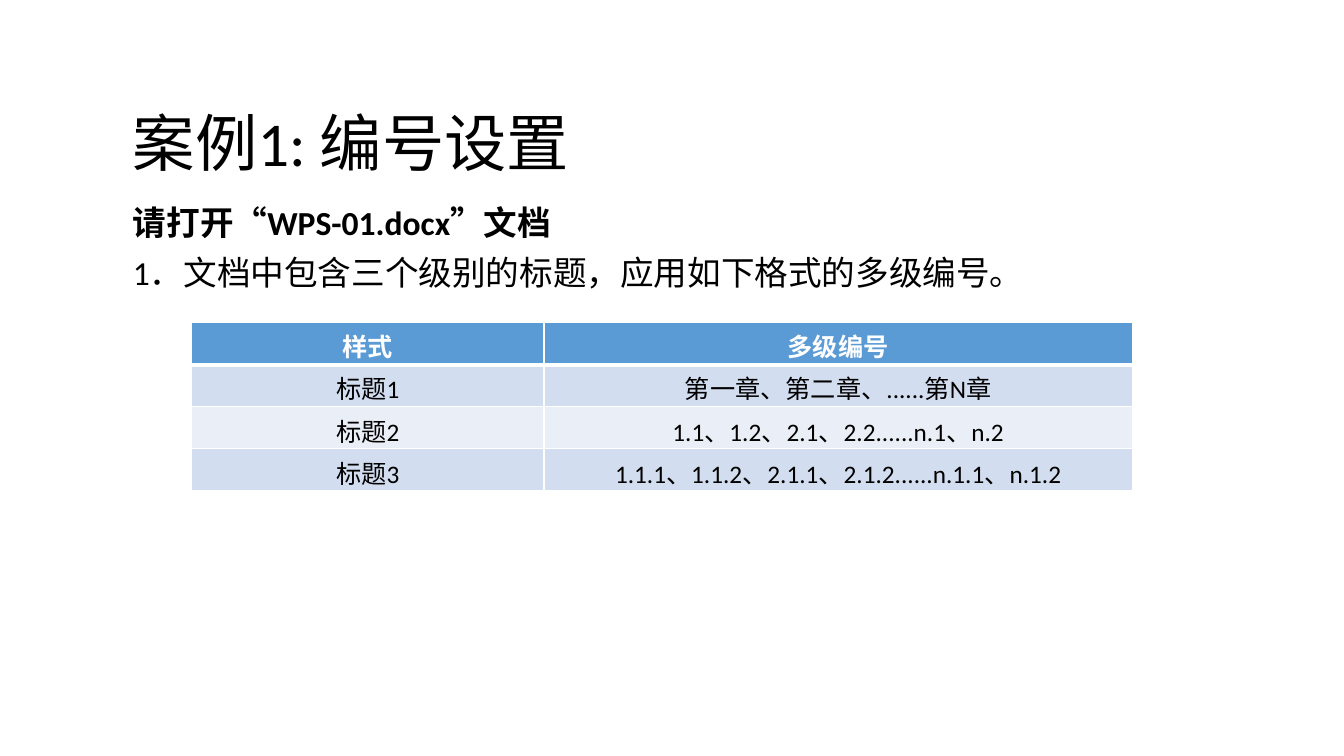
from lxml.etree import SubElement
from pptx import Presentation
from pptx.dml.color import RGBColor
from pptx.enum.text import MSO_ANCHOR, PP_ALIGN
from pptx.oxml.ns import qn
from pptx.util import Cm, Pt


def color(value):
    return RGBColor.from_string(value)


class SlideBuilder:
    font = "Calibri"
    ink = "000000"
    white = "FFFFFF"
    header_fill = "5B9BD5"
    band_fills = ("D2DEEF", "EAEFF7")

    def __init__(self, page):
        self.page = page

    def style(self, para, size, bold=False, ink=ink):
        for span in para.runs:
            span.font.name = self.font
            span.font.size = Pt(size)
            span.font.bold = bold
            span.font.color.rgb = color(ink)

    def text(self, left, top, width, height, lines, anchor=MSO_ANCHOR.TOP):
        """Each line is (wording, size, bold)."""
        box = self.page.shapes.add_textbox(Cm(left), Cm(top), Cm(width), Cm(height))
        frame = box.text_frame
        frame.word_wrap = True
        frame.vertical_anchor = anchor
        frame.text = "\n".join(wording for wording, _, _ in lines)
        for index, (para, (_, size, bold)) in enumerate(zip(frame.paragraphs, lines)):
            para.line_spacing = 0.9
            para.space_before = Pt(10 if index else 0)
            self.style(para, size, bold)

    def border(self, cell, side, width):
        line = SubElement(cell._tc.get_or_add_tcPr(), qn(f"a:{side}"), w=str(Pt(width)))
        fill = SubElement(line, qn("a:solidFill"))
        SubElement(fill, qn("a:srgbClr"), val=self.white)

    def table(self, left, top, widths, row_height, rows):
        table = self.page.shapes.add_table(
            len(rows), len(widths), Cm(left), Cm(top),
            Cm(sum(widths)), Cm(row_height * len(rows))).table
        for column, width in zip(table.columns, widths):
            column.width = Cm(width)
        for r, wordings in enumerate(rows):
            table.rows[r].height = Cm(row_height)
            header = r == 0
            for c, wording in enumerate(wordings):
                cell = table.cell(r, c)
                for side in ("lnL", "lnR", "lnT", "lnB"):
                    thick = (header and side == "lnB") or (r == 1 and side == "lnT")
                    self.border(cell, side, 3 if thick else 1)
                cell.fill.solid()
                cell.fill.fore_color.rgb = color(
                    self.header_fill if header else self.band_fills[(r - 1) % 2])
                cell.text_frame.text = wording
                para = cell.text_frame.paragraphs[0]
                para.alignment = PP_ALIGN.CENTER
                self.style(para, 18, header, self.white if header else self.ink)


def main():
    deck = Presentation()
    deck.slide_width, deck.slide_height = Cm(33.87), Cm(19.05)
    builder = SlideBuilder(deck.slides.add_slide(deck.slide_layouts[6]))

    # Title
    builder.text(3.1, 2.26, 16.5, 2.41, [("案例1: 编号设置", 44.5, False)],
                 MSO_ANCHOR.BOTTOM)

    # Instructions
    builder.text(3.1, 5.08, 27.66, 4.6, [
        ("请打开“WPS-01.docx”文档", 24, True),
        ("1．文档中包含三个级别的标题，应用如下格式的多级编号。", 24, False),
    ])

    # Numbering formats
    builder.table(4.83, 8.13, (8.88, 14.82), 1.06, [
        ("样式", "多级编号"),
        ("标题1", "第一章、第二章、......第N章"),
        ("标题2", "1.1、1.2、2.1、2.2......n.1、n.2"),
        ("标题3", "1.1.1、1.1.2、2.1.1、2.1.2......n.1.1、n.1.2"),
    ])

    deck.save("out.pptx")


if __name__ == "__main__":
    main()
